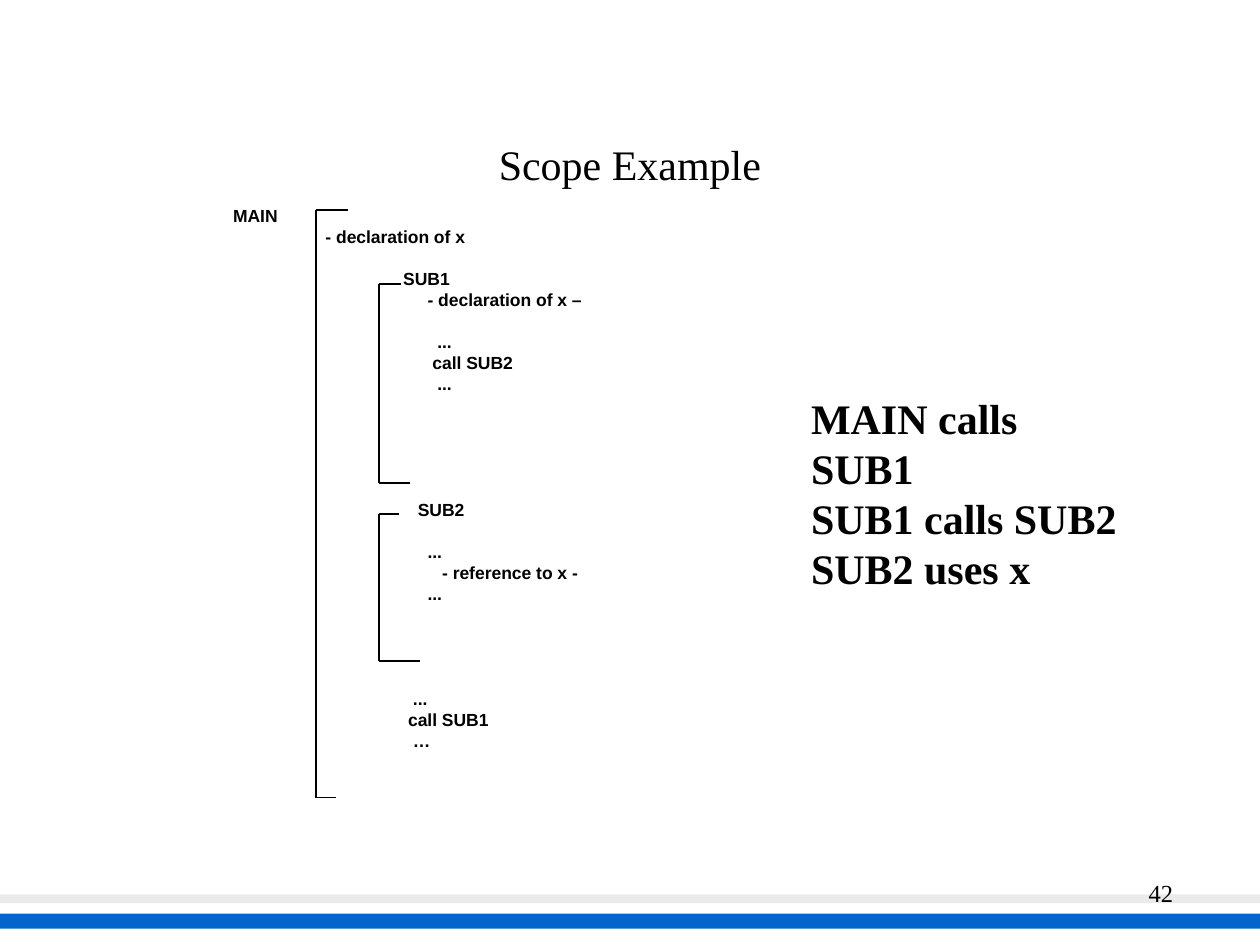
from pptx import Presentation
from pptx import util as u
from pptx.dml.color import RGBColor
from pptx.enum import shapes, text
from pptx.oxml.ns import qn
from lxml import etree

COLORS = {"ink": "000000", "blue": "0066CC", "grey": "EAEAEA"}
SERIF, SANS = "Times New Roman", "Arial"
LINE_PT = 12
STEP_CM = 0.098

CODE = [
    (0, 0, "MAIN"),
    (1, 19, "- declaration of x"),
    (3, 35, "SUB1"),
    (4, 40, "- declaration of x –"),
    (6, 42, "..."),
    (7, 41, "call SUB2"),
    (8, 42, "..."),
    (14, 38, "SUB2"),
    (16, 40, "..."),
    (17, 43, "- reference to x -"),
    (18, 40, "..."),
    (23, 37, "..."),
    (24, 36, "call SUB1"),
    (25, 37, "…"),
]
BRACKETS = [
    (6.37, 4.23, 16.08, 7.01, 6.78),
    (7.64, 5.72, 9.74, 8.08, 8.26),
    (7.64, 10.37, 13.33, 8.05, 8.46),
]
CALLS = ["MAIN calls SUB1", "SUB1 calls SUB2", "SUB2 uses x"]


class Deck:
    def __init__(self):
        self.prs = Presentation()
        self.prs.slide_width, self.prs.slide_height = u.Cm(25.4), u.Cm(19.05)
        self.s = self.prs.slides.add_slide(self.prs.slide_layouts[5])

    def color(self, name):
        return RGBColor.from_string(COLORS[name])

    def run(self, p, words, font, size, bold=False):
        r = p.add_run()
        r.text = words
        r.font.name, r.font.size, r.font.bold = font, u.Pt(size), bold
        r.font.color.rgb = self.color("ink")

    def title(self, words, x, y, w, h):
        sp = self.s.shapes.title
        sp.left, sp.top, sp.width, sp.height = map(u.Cm, (x, y, w, h))
        tf = sp.text_frame
        tf.vertical_anchor = text.MSO_ANCHOR.MIDDLE
        p = tf.paragraphs[0]
        p.alignment = text.PP_ALIGN.CENTER
        self.run(p, words, SERIF, 24)

    def band(self, y, h, color):
        sp = self.s.shapes.add_shape(shapes.MSO_SHAPE.RECTANGLE, 0, u.Cm(y),
                                     self.prs.slide_width, u.Cm(h))
        sp.shadow.inherit = False
        sp.fill.solid()
        sp.fill.fore_color.rgb = self.color(color)
        sp.line.fill.background()

    def box(self, x, y, w, h, wrap=True):
        sp = self.s.shapes.add_textbox(*map(u.Cm, (x, y, w, h)))
        sp.text_frame.word_wrap = wrap
        return sp.text_frame

    def lines(self, tf, items, font, size, pitch, bold=True):
        previous = -1
        for i, (row, steps, words) in enumerate(items):
            p = tf.add_paragraph() if i else tf.paragraphs[0]
            p.line_spacing = u.Pt(pitch)
            p.space_before = u.Pt(pitch * (row - previous - 1))
            p._p.get_or_add_pPr().set("marL", str(u.Cm(steps * STEP_CM)))
            self.run(p, words, font, size, bold)
            previous = row

    def line(self, x1, y1, x2, y2):
        c = self.s.shapes.add_connector(shapes.MSO_CONNECTOR.STRAIGHT,
                                        *map(u.Cm, (x1, y1, x2, y2)))
        c.line.color.rgb = self.color("ink")
        c.line.width = u.Pt(1)
        etree.SubElement(c._element.spPr, qn("a:effectLst"))

    def bracket(self, x, top, bottom, top_end, bottom_end):
        self.line(x, top, top_end, top)
        self.line(x, top, x, bottom)
        self.line(x, bottom, bottom_end, bottom)


def main():
    d = Deck()
    d.band(18.42, 0.3, "blue")
    d.band(18.03, 0.18, "grey")
    p = d.box(18.62, 17.58, 5.28, 1.27).paragraphs[0]
    p.alignment = text.PP_ALIGN.RIGHT
    d.run(p, "42", SERIF, 14)
    d.title("Scope Example", 1.9, 1.7, 21.6, 3.18)
    d.lines(d.box(4.45, 4.01, 19.89, 12.5), CODE, SANS, 10, LINE_PT)
    for b in BRACKETS:
        d.bracket(*b)
    calls = [(i, 0, words) for i, words in enumerate(CALLS)]
    d.lines(d.box(16.1, 7.8, 6.93, 5.33, wrap=False), calls, SERIF, 24, 28.5)
    d.prs.save("out.pptx")


if __name__ == "__main__":
    main()
